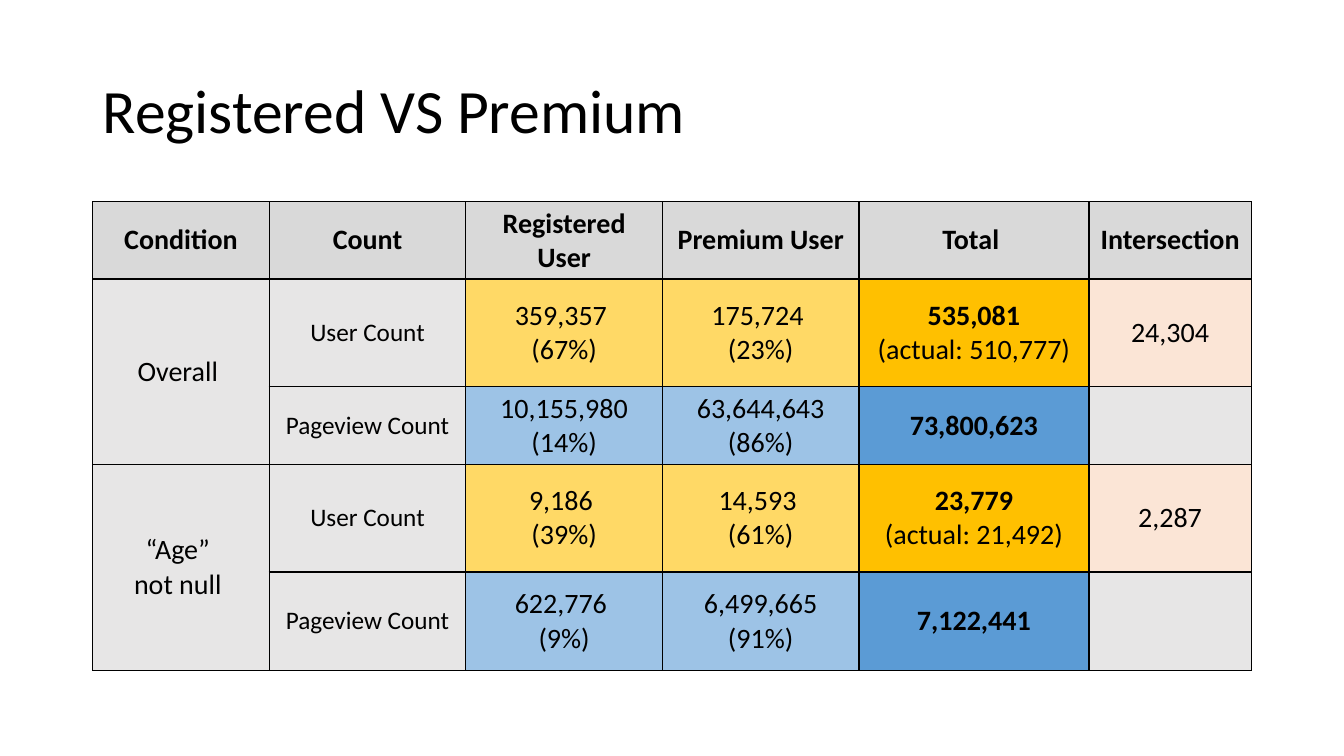
from lxml import etree
from pptx import Presentation
from pptx.dml.color import RGBColor
from pptx.enum.text import MSO_ANCHOR, PP_ALIGN
from pptx.oxml.ns import qn
from pptx.util import Inches, Pt

CENTER = PP_ALIGN.CENTER
MIDDLE = MSO_ANCHOR.MIDDLE

FONT = "Calibri"
BLACK = RGBColor(0x00, 0x00, 0x00)
HEADER_GRAY = RGBColor(0xD9, 0xD9, 0xD9)
LABEL_GRAY = RGBColor(0xE7, 0xE6, 0xE6)
USER_YELLOW = RGBColor(0xFF, 0xD9, 0x66)
USER_GOLD = RGBColor(0xFF, 0xC0, 0x00)
PEACH = RGBColor(0xFB, 0xE5, 0xD6)
VIEW_LIGHT_BLUE = RGBColor(0x9D, 0xC3, 0xE6)
VIEW_BLUE = RGBColor(0x5B, 0x9B, 0xD5)

SLIDE_WIDTH, SLIDE_HEIGHT = 13.33, 7.5
LEFT, CONTENT_WIDTH = 0.92, 11.5
COLUMN_WIDTHS = [1.75, 1.95, 1.95, 1.95, 2.28, 1.61]
ROW_HEIGHTS = [0.74, 1.07, 0.74, 1.07, 0.98]
COUNT_COLUMN, TOTAL_COLUMN = 1, 4

HEADER_FILLS = [HEADER_GRAY] * 6
USER_FILLS = [LABEL_GRAY] * 2 + [USER_YELLOW] * 2 + [USER_GOLD, PEACH]
VIEW_FILLS = [LABEL_GRAY] * 2 + [VIEW_LIGHT_BLUE] * 2 + [VIEW_BLUE, LABEL_GRAY]
ROW_FILLS = [HEADER_FILLS] + [USER_FILLS, VIEW_FILLS] * 2

COUNTS = [
    ["Condition", "Count", "Registered User", "Premium User", "Total ", "Intersection"],
    ["Overall ", "User Count", "359,357 \n(67%)", "175,724 \n(23%)",
     "535,081\n(actual: 510,777)", "24,304"],
    ["", "Pageview Count", "10,155,980 (14%)", "63,644,643 (86%)", "73,800,623", ""],
    ["“Age” \nnot null ", "User Count", "9,186 \n(39%)", "14,593 \n(61%)",
     "23,779\n(actual: 21,492)", "2,287"],
    ["", "Pageview Count", "622,776 \n(9%)", "6,499,665 (91%)", "7,122,441", ""],
]


def style_paragraph(paragraph, size, bold=False):
    paragraph.font.size = Pt(size)
    for run in paragraph.runs:
        run.font.name = FONT
        run.font.size = Pt(size)
        run.font.bold = bold
        run.font.color.rgb = BLACK


def add_title(slide, text):
    title = slide.shapes.add_textbox(
        Inches(LEFT), Inches(0.4), Inches(CONTENT_WIDTH), Inches(1.45))
    frame = title.text_frame
    frame.word_wrap = True
    frame.vertical_anchor = MIDDLE
    frame.text = text
    frame.paragraphs[0].line_spacing = 0.9
    style_paragraph(frame.paragraphs[0], 44)


def add_borders(cell):
    properties = cell._tc.get_or_add_tcPr()
    for position, side in enumerate(("a:lnL", "a:lnR", "a:lnT", "a:lnB")):
        line = etree.Element(qn(side), w=str(Pt(1)))
        fill = etree.SubElement(line, qn("a:solidFill"))
        etree.SubElement(fill, qn("a:srgbClr"), val=str(BLACK))
        properties.insert(position, line)


def fill_cell(cell, row, column):
    cell.fill.solid()
    cell.fill.fore_color.rgb = ROW_FILLS[row][column]
    cell.vertical_anchor = MIDDLE
    add_borders(cell)
    cell.text_frame.text = COUNTS[row][column]
    is_header = row == 0
    size = 18 if column == COUNT_COLUMN and not is_header else 20
    for index, paragraph in enumerate(cell.text_frame.paragraphs):
        paragraph.alignment = CENTER
        is_total = column == TOTAL_COLUMN and index == 0
        style_paragraph(paragraph, size, is_header or is_total)


def add_count_table(slide):
    table = slide.shapes.add_table(
        len(ROW_HEIGHTS), len(COLUMN_WIDTHS), Inches(LEFT), Inches(2),
        Inches(CONTENT_WIDTH), Inches(sum(ROW_HEIGHTS))).table
    table.first_row = False
    table.horz_banding = False
    for column, width in zip(table.columns, COLUMN_WIDTHS):
        column.width = Inches(width)
    for row, height in zip(table.rows, ROW_HEIGHTS):
        row.height = Inches(height)
    for row in range(len(ROW_HEIGHTS)):
        for column in range(len(COLUMN_WIDTHS)):
            fill_cell(table.cell(row, column), row, column)
    for first_row in (1, 3):
        table.cell(first_row, 0).merge(table.cell(first_row + 1, 0))


def main():
    presentation = Presentation()
    presentation.slide_width = Inches(SLIDE_WIDTH)
    presentation.slide_height = Inches(SLIDE_HEIGHT)
    slide = presentation.slides.add_slide(presentation.slide_layouts[6])
    add_title(slide, "Registered VS Premium")
    add_count_table(slide)
    presentation.save("out.pptx")


if __name__ == "__main__":
    main()
